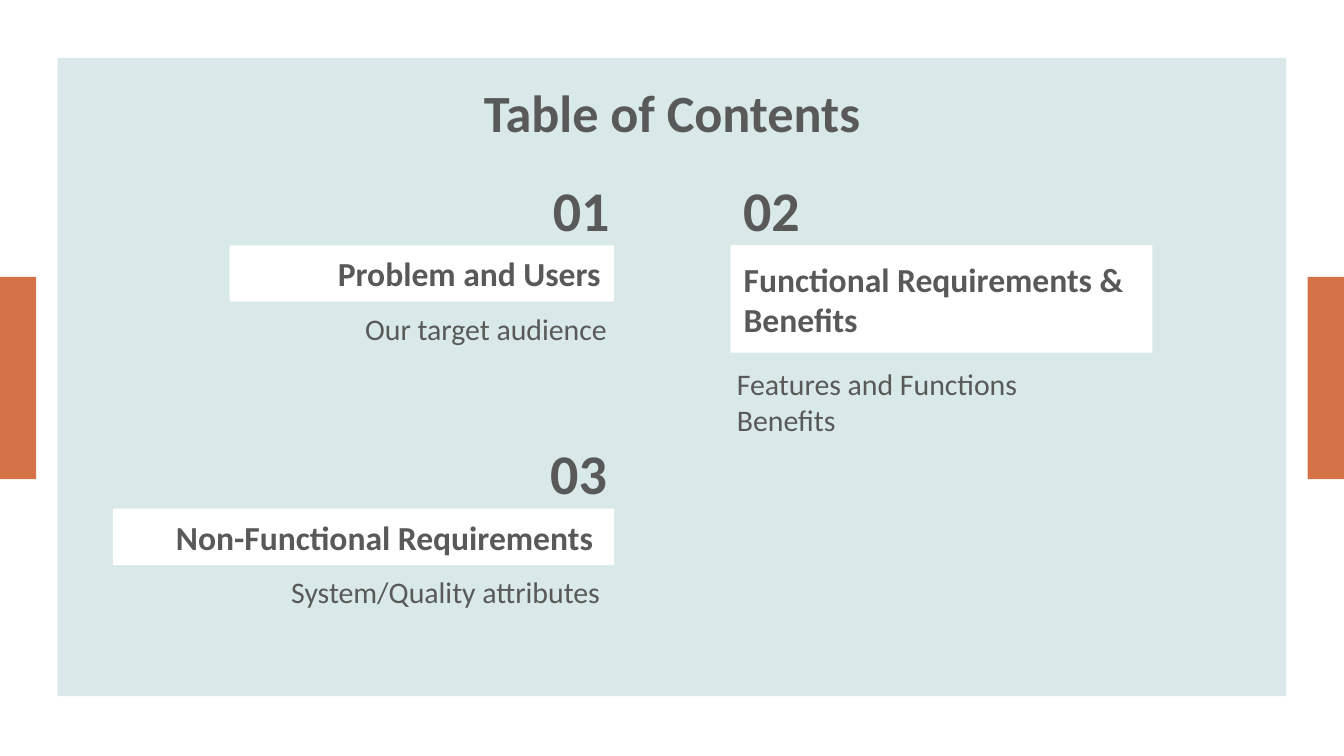
from pptx import Presentation
from pptx.dml.color import RGBColor
from pptx.enum.shapes import MSO_SHAPE
from pptx.enum.text import MSO_ANCHOR, MSO_AUTO_SIZE, PP_ALIGN
from pptx.util import Pt

RECT = MSO_SHAPE.RECTANGLE
LEFT, CENTER, RIGHT = PP_ALIGN.LEFT, PP_ALIGN.CENTER, PP_ALIGN.RIGHT
TOP, MIDDLE, BOTTOM = MSO_ANCHOR.TOP, MSO_ANCHOR.MIDDLE, MSO_ANCHOR.BOTTOM

PX = 4572  # EMU per px, 200 px to the inch
WIDTH, HEIGHT = 2000, 1125
INSET = 20 * PX
WHITE, MINT, ORANGE, GRAY = "FFFFFF", "D9E9E9", "D47248", "595959"


def add_block(box, fill):
    block = slide.shapes.add_shape(RECT, *(n * PX for n in box))
    block.shadow.inherit = False
    block.fill.solid()
    block.fill.fore_color.rgb = RGBColor.from_string(fill)
    block.line.fill.background()
    return block


def write(holder, text, size, bold, align, anchor):
    frame = holder.text_frame
    frame.text = text
    frame_format = {
        "word_wrap": True, "auto_size": MSO_AUTO_SIZE.NONE, "vertical_anchor": anchor,
        "margin_left": INSET, "margin_right": INSET,
        "margin_top": INSET, "margin_bottom": INSET,
    }
    for key, value in frame_format.items():
        setattr(frame, key, value)
    for paragraph in frame.paragraphs:
        paragraph.alignment = align
        font = paragraph.runs[0].font
        for key, value in {"name": "Calibri", "size": Pt(size), "bold": bold}.items():
            setattr(font, key, value)
        font.color.rgb = RGBColor.from_string(GRAY)


prs = Presentation()
prs.slide_width, prs.slide_height = WIDTH * PX, HEIGHT * PX
slide = prs.slides.add_slide(prs.slide_layouts[5])

# Backdrop: mint panel with an orange tab at each slide edge
margin = 86
add_block((margin, margin, WIDTH - 2 * margin, 950), MINT)
tab_width = 54
for tab_left in (WIDTH - tab_width, 0):
    add_block((tab_left, 412, tab_width, 301), ORANGE)

# Title, brought in front of the panel
title = slide.shapes.title
title.left, title.top, title.width, title.height = (n * PX for n in (254, 100, 1492, 126))
write(title, "Table of Contents", 28, True, CENTER, TOP)
slide.shapes._spTree.append(title._element)

# Sections: number, number box, number alignment, heading, heading box,
# detail, detail box, text alignment
sections = [
    ("01", (793, 256, 144, 126), CENTER, "Problem and Users", (342, 365, 572, 84),
     "Our target audience", (370, 442, 553, 132), RIGHT),
    ("02", (1067, 256, 162, 126), CENTER, "Functional Requirements & Benefits",
     (1087, 365, 628, 160), "Features and Functions\nBenefits", (1077, 524, 554, 132), LEFT),
    ("03", (777, 647, 146, 126), RIGHT, "Non-Functional Requirements ", (168, 757, 746, 84),
     "System/Quality attributes ", (370, 834, 553, 132), RIGHT),
]
for number, number_box, number_align, heading, heading_box, detail, detail_box, align in sections:
    write(add_block(heading_box, WHITE), heading, 18, True, align, MIDDLE)
    for text, box, size, bold, text_align, anchor in (
        (number, number_box, 30, True, number_align, BOTTOM),
        (detail, detail_box, 16, False, align, TOP),
    ):
        label = slide.shapes.add_textbox(*(n * PX for n in box))
        write(label, text, size, bold, text_align, anchor)

prs.save("out.pptx")
